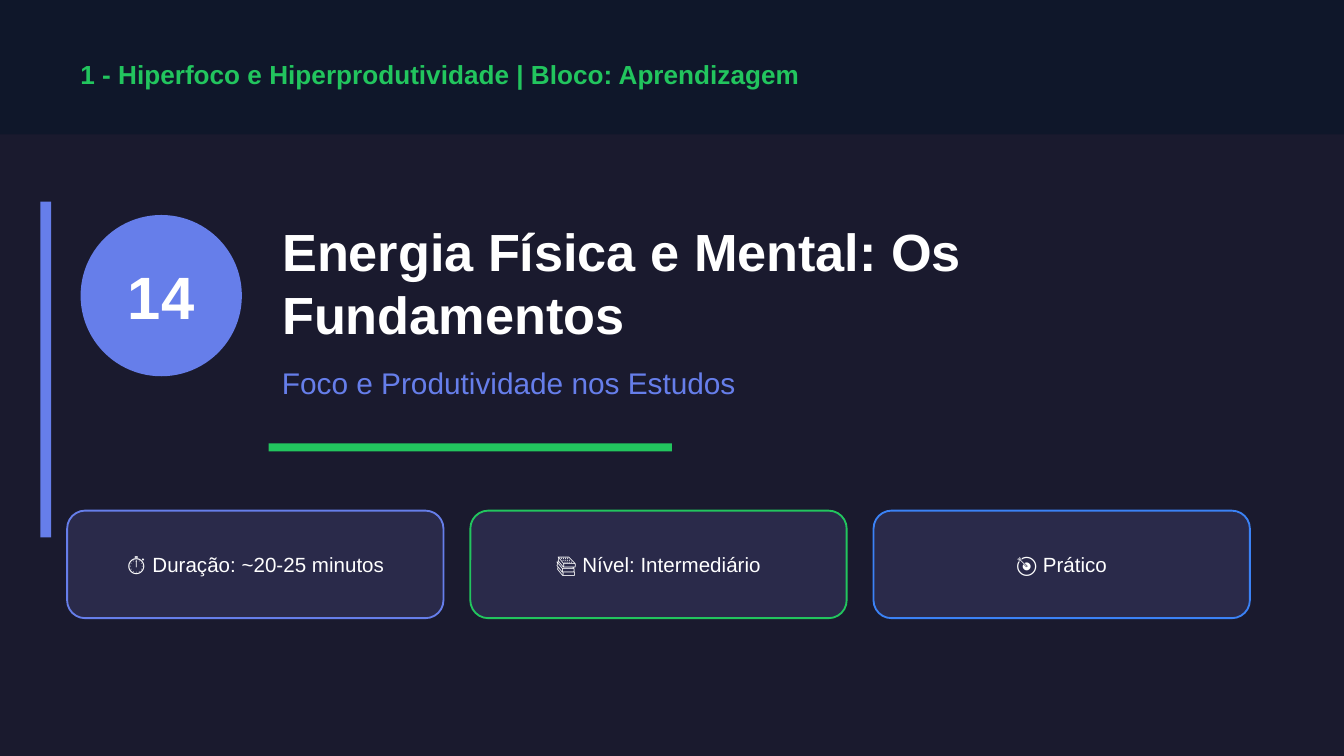
from dataclasses import dataclass

from pptx import Presentation
from pptx.dml.color import RGBColor
from pptx.enum import shapes, text
from pptx.util import Pt

HUES = {
    "back": "1A1A2E",
    "band": "0F172A",
    "card": "2A2A4A",
    "indigo": "667EEA",
    "green": "22C55E",
    "blue": "3B82F6",
    "white": "FFFFFF",
}
KIND = shapes.MSO_SHAPE
ALIGN = text.PP_ALIGN


@dataclass
class Box:
    left: float
    top: float
    width: float
    height: float

    def pts(self) -> tuple:
        return Pt(self.left), Pt(self.top), Pt(self.width), Pt(self.height)


@dataclass
class Style:
    size: float
    hue: str
    bold: bool = False
    align: ALIGN = ALIGN.LEFT


@dataclass
class Card:
    label: str
    edge: str


def tint(name: str) -> RGBColor:
    return RGBColor.from_string(HUES[name])


def draw(slide, kind: KIND, box: Box, fill: str, edge: str = "") -> None:
    shape = slide.shapes.add_shape(kind, *box.pts())
    shape.shadow.inherit = False
    shape.fill.solid()
    shape.fill.fore_color.rgb = tint(fill)
    if edge:
        shape.line.color.rgb = tint(edge)
        shape.line.width = Pt(1)
    else:
        shape.line.fill.background()


def write(shape, words: str, style: Style) -> None:
    frame = shape.text_frame
    frame.text = words
    frame.word_wrap = True
    frame.auto_size = text.MSO_AUTO_SIZE.NONE
    frame.vertical_anchor = text.MSO_ANCHOR.MIDDLE
    line = frame.paragraphs[0]
    line.alignment = style.align
    line.font.name = "Arial"
    line.font.size = Pt(style.size)
    line.font.bold = style.bold
    line.font.color.rgb = tint(style.hue)


def label(slide, box: Box, words: str, style: Style) -> None:
    write(slide.shapes.add_textbox(*box.pts()), words, style)


def main() -> None:
    deck = Presentation()
    deck.slide_width, deck.slide_height = Pt(720), Pt(405)
    slide = deck.slides.add_slide(deck.slide_layouts[5])
    slide.background.fill.solid()
    slide.background.fill.fore_color.rgb = tint("back")

    title = slide.shapes.title
    title.left, title.top, title.width, title.height = Box(144, 115.2, 540, 72).pts()
    write(title, "Energia Física e Mental: Os Fundamentos", Style(28, "white", True))

    draw(slide, KIND.RECTANGLE, Box(0, 0, 720, 72), "band")
    label(slide, Box(36, 25.2, 648, 28.8),
          "1 - Hiperfoco e Hiperprodutividade | Bloco: Aprendizagem",
          Style(14, "green", True))

    draw(slide, KIND.RECTANGLE, Box(21.6, 108, 5.76, 180), "indigo")
    draw(slide, KIND.OVAL, Box(43.2, 115.2, 86.4, 86.4), "indigo")
    label(slide, Box(43.2, 133.2, 86.4, 50.4), "14",
          Style(32, "white", True, ALIGN.CENTER))

    label(slide, Box(144, 187.2, 540, 36), "Foco e Produtividade nos Estudos",
          Style(16, "indigo"))
    draw(slide, KIND.RECTANGLE, Box(144, 237.6, 216, 4.32), "green")

    cards = [
        Card("⏱ Duração: ~20-25 minutos", "indigo"),
        Card("📚 Nível: Intermediário", "green"),
        Card("🎯 Prático", "blue"),
    ]
    for rank, card in enumerate(cards):
        left = 36 + 216 * rank
        draw(slide, KIND.ROUNDED_RECTANGLE, Box(left, 273.6, 201.6, 57.6),
             "card", card.edge)
        label(slide, Box(left, 284.4, 201.6, 36), card.label,
              Style(11, "white", align=ALIGN.CENTER))

    deck.save("out.pptx")


if __name__ == "__main__":
    main()
